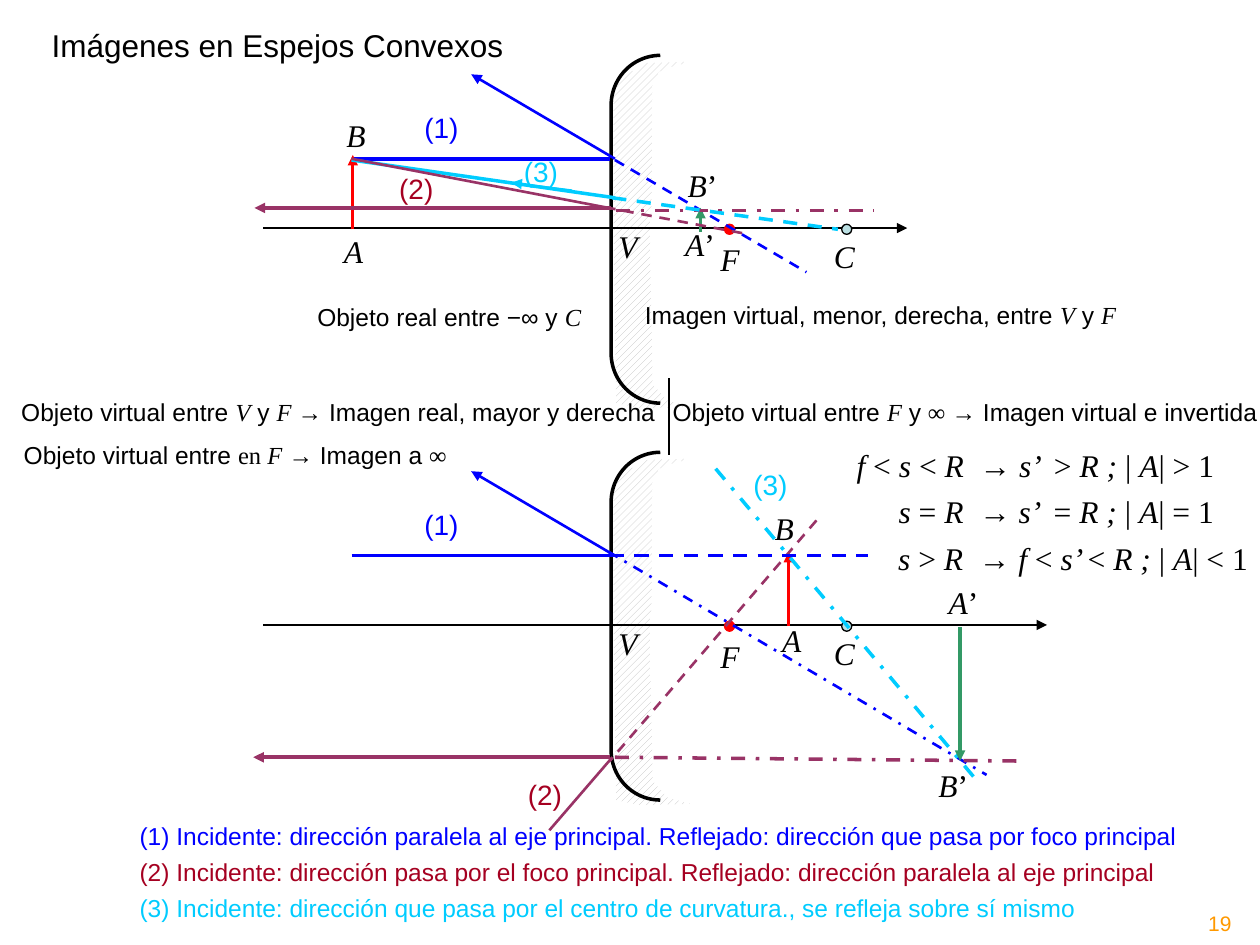
import pptx
import pptx.util
import pptx.dml.color
import pptx.enum.dml
import pptx.enum.shapes
import pptx.enum.text
import pptx.oxml.ns
import lxml.etree

Inches, Pt = pptx.util.Inches, pptx.util.Pt
color = pptx.dml.color.RGBColor.from_string
DASH = pptx.enum.dml.MSO_LINE.DASH
DASH_DOT = pptx.enum.dml.MSO_LINE.DASH_DOT
SHAPES = pptx.enum.shapes.MSO_SHAPE
FIT = pptx.enum.text.MSO_AUTO_SIZE.SHAPE_TO_FIT_TEXT

BLACK, BLUE, PURPLE, CYAN = "000000", "0000FF", "993366", "00CCFF"
RED, DARK_RED, GREEN, ORANGE = "FF0000", "A50021", "339966", "FF9900"
# Run styles: font name, italic
SANS = ("Arial", False)
ROMAN = ("Times New Roman", False)
ITALIC = ("Times New Roman", True)
START, END = "headEnd", "tailEnd"
BOX_HEIGHTS = {12: 0.3, 14: 0.34, 16: 0.37, 18: 0.4}

presentation = pptx.Presentation()
presentation.slide_width, presentation.slide_height = Inches(10), Inches(7.5)
slide = presentation.slides.add_slide(presentation.slide_layouts[5])


def add_line(x1, y1, x2, y2, stroke, width, dash=None, arrow=None):
    line = slide.shapes.add_connector(
        pptx.enum.shapes.MSO_CONNECTOR.STRAIGHT,
        Inches(x1), Inches(y1), Inches(x2), Inches(y2))
    line.line.color.rgb = color(stroke)
    line.line.width = Pt(width)
    if dash:
        line.line.dash_style = dash
    if arrow:
        end = lxml.etree.SubElement(line.line._get_or_add_ln(), pptx.oxml.ns.qn("a:" + arrow))
        end.set("type", "triangle")
    lxml.etree.SubElement(line._element.spPr, pptx.oxml.ns.qn("a:effectLst"))


def add_text(left, top, width, size, runs, ink=BLACK):
    box = slide.shapes.add_textbox(
        Inches(left), Inches(top), Inches(width), Inches(BOX_HEIGHTS[size]))
    box.text_frame.word_wrap = False
    box.text_frame.auto_size = FIT
    for text, (font_name, italic) in runs:
        run = box.text_frame.paragraphs[0].add_run()
        run.text = text
        run.font.name, run.font.italic = font_name, italic
        run.font.size = Pt(size)
        run.font.color.rgb = color(ink)


# Title
title = slide.shapes.title
title.left, title.top, title.width, title.height = (
    Inches(0.31), Inches(0.16), Inches(3.82), Inches(0.4))
title.text_frame.word_wrap = False
title.text_frame.auto_size = FIT
title.text_frame.vertical_anchor = pptx.enum.text.MSO_ANCHOR.TOP
title_paragraph = title.text_frame.paragraphs[0]
title_paragraph.alignment = pptx.enum.text.PP_ALIGN.LEFT
title_run = title_paragraph.add_run()
title_run.text = "Imágenes en Espejos Convexos"
title_run.font.name, title_run.font.size = "Arial", Pt(18)
title_run.font.color.rgb = color(BLACK)

# Parts shared by both diagrams: vertical offset, axis end, object position
HATCH = [(4.89, 3.2), (5.08, 3.24), (5.48, 3.23), (5.3, 3.18), (5.18, 3.05),
         (5.16, 2.06), (5.16, 1.83), (5.17, 1.64), (5.18, 0.68), (5.23, 0.57),
         (5.33, 0.53), (5.48, 0.49), (5.14, 0.5), (4.99, 0.58), (4.92, 0.62),
         (4.87, 0.76), (4.87, 1.82)]
for offset, axis_end, object_x in [(0, 7.2, 2.8), (3.15, 8.31, 6.26)]:
    # Hatched back of the mirror
    points = [(Inches(x), Inches(y + offset)) for x, y in HATCH]
    builder = slide.shapes.build_freeform(*points[0], scale=1.0)
    builder.add_line_segments(points[1:], close=True)
    hatch = builder.convert_to_shape()
    hatch.shadow.inherit = False
    hatch.fill.patterned()
    hatch.fill.pattern = pptx.enum.dml.MSO_PATTERN.WIDE_UPWARD_DIAGONAL
    hatch.fill.fore_color.rgb = color("C0C0C0")
    hatch.fill.back_color.rgb = color("FFFFFF")
    hatch.line.fill.background()

    # Principal axis and mirror surface
    add_line(2.09, 1.81 + offset, axis_end, 1.81 + offset, BLACK, 1.25, arrow=END)
    mirror = slide.shapes.add_shape(
        SHAPES.LEFT_BRACKET, Inches(4.85), Inches(0.44 + offset), Inches(0.39), Inches(2.76))
    mirror.adjustments[0] = 1.016
    mirror.shadow.inherit = False
    mirror.fill.background()
    mirror.line.color.rgb = color(BLACK)
    mirror.line.width = Pt(2)

    # Ray 1 and the object arrow
    add_line(2.79, 1.26 + offset, 4.84, 1.26 + offset, BLUE, 2)
    add_line(3.74, 0.59 + offset, 4.88, 1.26 + offset, BLUE, 1.5, arrow=START)
    add_line(object_x, 1.82 + offset, object_x, 1.23 + offset, RED, 1.5, arrow=END)
    add_text(3.27, 0.83 + offset, 0.48, 16, [("(1)", SANS)], BLUE)

    # Focus, centre and vertex
    for x, fill, outline in [(6.68, "BBE0E3", BLACK), (5.75, RED, RED)]:
        dot = slide.shapes.add_shape(
            SHAPES.OVAL, Inches(x), Inches(1.78 + offset), Inches(0.08), Inches(0.08))
        dot.shadow.inherit = False
        dot.fill.solid()
        dot.fill.fore_color.rgb = color(fill)
        dot.line.color.rgb = color(outline)
        dot.line.width = Pt(0.75)
    for letter, x, y in [("C", 6.52, 1.83), ("F", 5.62, 1.86), ("V", 4.81, 1.75)]:
        add_text(x, y + offset, 0.37, 18, [(letter, ITALIC)])

# Upper diagram: real object
add_line(4.88, 1.27, 6.4, 2.16, BLUE, 1.5, DASH)
add_line(2.02, 1.65, 4.85, 1.65, PURPLE, 2, arrow=START)
add_line(2.79, 1.27, 4.88, 1.57, CYAN, 2)
add_line(4.83, 1.65, 2.79, 1.26, PURPLE, 1.5)
add_line(5.56, 1.65, 5.56, 1.84, GREEN, 2, arrow=START)
add_line(5.89, 1.85, 4.83, 1.65, PURPLE, 1.5, DASH)
add_line(4.89, 1.67, 6.94, 1.67, PURPLE, 2, DASH_DOT)
add_line(4.86, 1.57, 6.65, 1.82, CYAN, 2, DASH)
add_line(4.06, 1.45, 4.54, 1.51, CYAN, 1, arrow=START)

# Lower diagram: virtual object
add_line(4.83, 4.38, 7.83, 6.15, BLUE, 1.5, DASH_DOT)
add_line(2.01, 6.01, 4.84, 6.01, PURPLE, 2, arrow=START)
add_line(5.68, 3.72, 7.74, 6.18, CYAN, 2, DASH_DOT)
add_line(6.48, 4.13, 4.84, 6.04, PURPLE, 1.5, DASH)
add_line(7.62, 4.98, 7.62, 6.04, GREEN, 2, arrow=END)
add_line(4.84, 4.41, 6.89, 4.41, BLUE, 2, DASH)
add_line(4.86, 6.01, 4.36, 6.59, PURPLE, 1.5)
add_line(4.88, 6.01, 8.07, 6.04, PURPLE, 2, DASH_DOT)

# Ray numbers
for number, x, y, ink in [("(2)", 3.07, 1.31, DARK_RED), ("(3)", 4.06, 1.18, CYAN),
                          ("(2)", 4.09, 6.12, DARK_RED), ("(3)", 5.88, 3.66, CYAN)]:
    add_text(x, y, 0.48, 16, [(number, SANS)], ink)

# Object and image points
for letter, x, y in [("A", 2.63, 1.79), ("B", 2.65, 0.87), ("A", 6.11, 4.88), ("B", 6.05, 3.99)]:
    add_text(x, y, 0.35, 18, [(letter, ITALIC)])
for letter, x, y in [("A", 5.34, 1.74), ("B", 5.36, 1.27), ("A", 7.43, 4.58), ("B", 7.35, 6.03)]:
    add_text(x, y, 0.44, 18, [(letter, ITALIC), ("’", ROMAN)])

# Cases and their separator
add_line(5.31, 3, 5.31, 3.61, BLACK, 0.75)
add_text(2.42, 2.35, 2.3, 14, [("Objeto real entre −∞ y ", SANS), ("C", ITALIC)])
add_text(5.02, 2.33, 3.96, 14, [("Imagen virtual, menor, derecha, entre ", SANS),
                                ("V", ITALIC), (" y ", SANS), ("F", ITALIC)])
add_text(0.07, 3.1, 5.27, 14, [("Objeto virtual entre ", SANS), ("V", ITALIC), (" y ", SANS),
                               ("F ", ITALIC), ("→ Imagen real, mayor y derecha", SANS)])
add_text(5.24, 3.1, 4.87, 14, [("Objeto virtual entre ", SANS), ("F", ITALIC), (" y ", SANS),
                               ("∞ ", ROMAN), ("→ Imagen virtual e invertida", SANS)])
add_text(0.09, 3.44, 3.57, 14, [("Objeto virtual entre ", SANS), ("en", ROMAN), (" F ", ITALIC),
                                ("→ Imagen a ", SANS), ("∞", ROMAN)])

# Size relations
add_text(6.7, 3.49, 3.05, 18, [
    ("f", ITALIC), (" < ", ROMAN), ("s ", ITALIC), ("< ", ROMAN), ("R", ITALIC), ("  → ", ROMAN),
    ("s’ ", ITALIC), (" > ", ROMAN), ("R ; ", ITALIC), ("| ", ROMAN), ("A", ITALIC),
    ("| > 1", ROMAN)])
add_text(6.97, 3.86, 2.78, 18, [
    (" ", ROMAN), ("s ", ITALIC), ("= ", ROMAN), ("R", ITALIC), ("  → ", ROMAN),
    ("s’ ", ITALIC), (" = ", ROMAN), ("R ; ", ITALIC), ("| ", ROMAN), ("A", ITALIC),
    ("| = 1", ROMAN)])
add_text(7.03, 4.23, 2.99, 18, [
    ("s ", ITALIC), ("> ", ROMAN), ("R", ITALIC), ("  → ", ROMAN), ("f", ITALIC), (" < ", ROMAN),
    ("s’ ", ITALIC), ("< ", ROMAN), ("R ; ", ITALIC), ("| ", ROMAN), ("A", ITALIC),
    ("| < 1", ROMAN)])

# Ray rules
for y, width, ink, rule in [
        (6.47, 8.47, BLUE, "(1) Incidente: dirección paralela al eje principal. "
         "Reflejado: dirección que pasa por foco principal"),
        (6.75, 8.3, DARK_RED, "(2) Incidente: dirección pasa por el foco principal. "
         "Reflejado: dirección paralela al eje principal"),
        (7.04, 7.66, CYAN, "(3) Incidente: dirección que pasa por el centro de curvatura., "
         "se refleja sobre sí mismo")]:
    add_text(1.01, y, width, 14, [(rule, SANS)], ink)

# Page number
add_text(9.49, 7.18, 0.39, 12, [("19", SANS)], ORANGE)

presentation.save("out.pptx")
